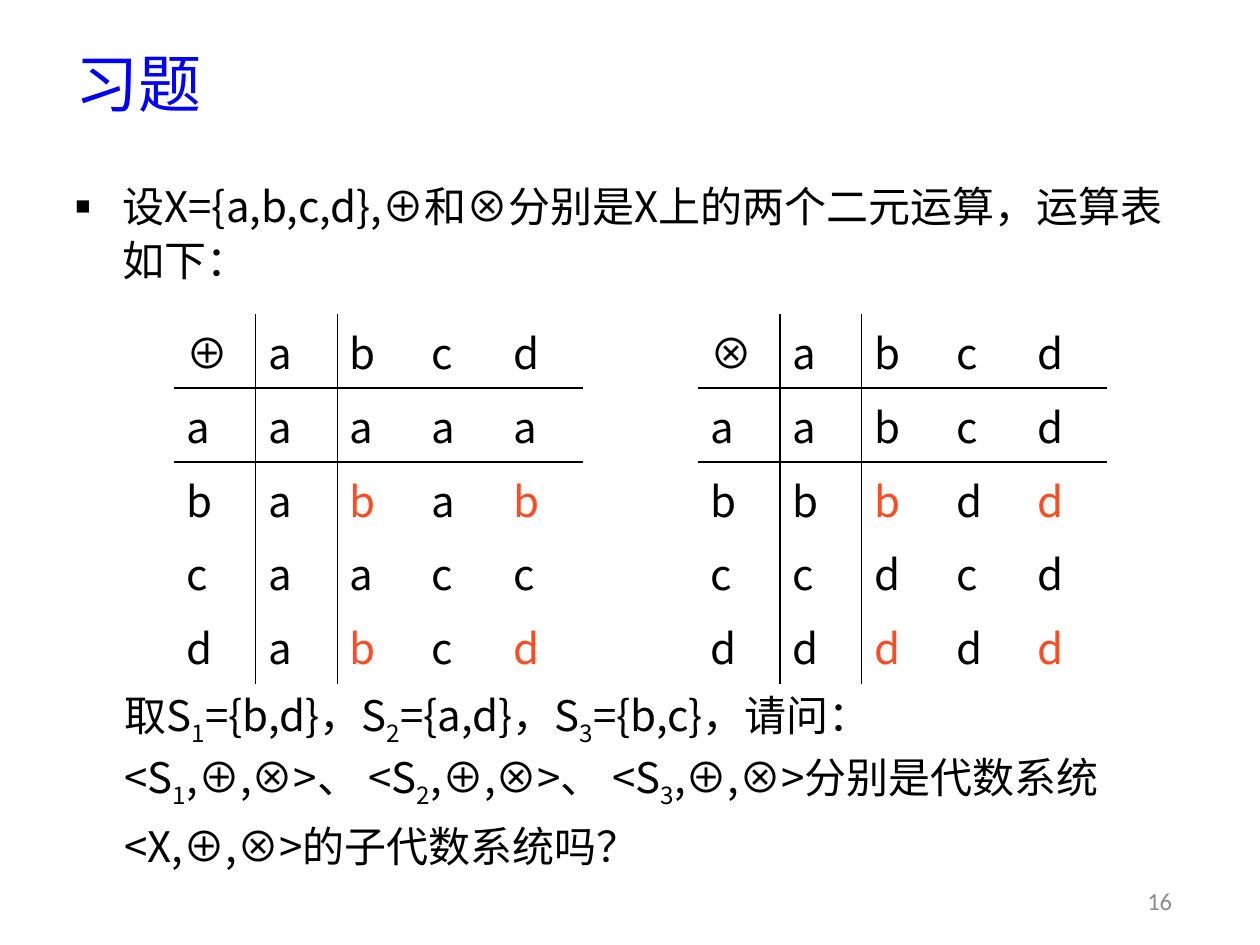
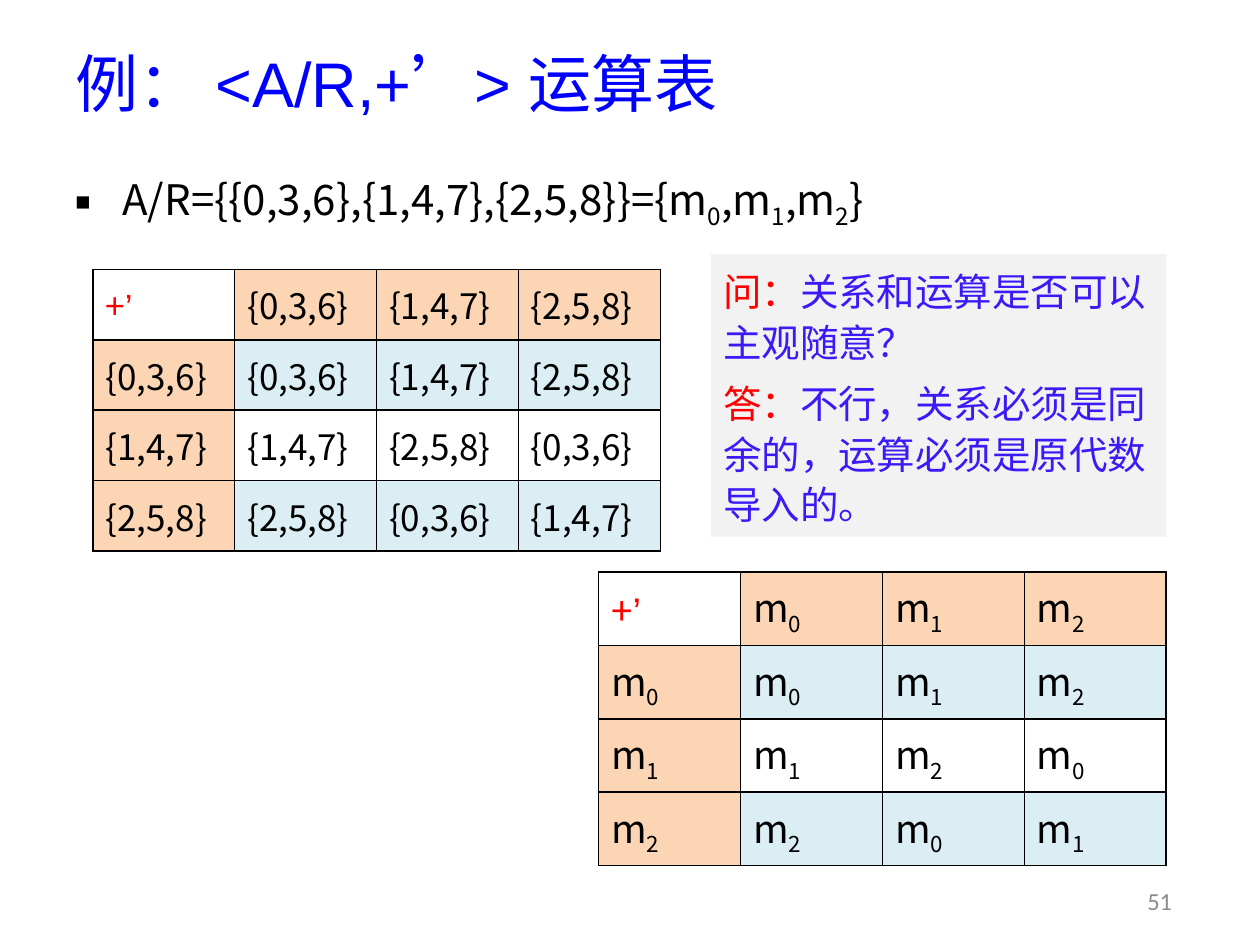
from lxml.etree import SubElement
from pptx import Presentation
from pptx.dml.color import RGBColor
from pptx.enum.shapes import MSO_SHAPE
from pptx.enum.text import MSO_ANCHOR, PP_ALIGN
from pptx.oxml.ns import qn
from pptx.util import Cm, Pt

COLOURS = {
    "title": "0000FF",
    "text": "000000",
    "number": "8C8C8C",
    "closed": "FF4B21",
    "red": "FF0000",
    "answer": "3A1BF7",
    "note": "F2F2F2",
    "header": "FCD5B5",
    "band": "DBEEF4",
    "white": "FFFFFF",
}
CJK = "Noto Sans CJK SC"
NO_STYLE = "{2D5ABB26-0587-4C30-8999-92F81FD0307C}"


def rgb(name):
    return RGBColor.from_string(COLOURS[name])


# ---- Text ----
def add_runs(paragraph, text, colour=None, font=None):
    """Write text; the character after each underscore is a subscript."""
    head, *tails = text.split("_")
    pieces = [(head, False)]
    for tail in tails:
        pieces += [(tail[0], True), (tail[1:], False)]
    for piece, lowered in pieces:
        if not piece:
            continue
        run = paragraph.add_run()
        run.text = piece
        if colour:
            run.font.color.rgb = rgb(colour)
        if font:
            run.font.name = font
        if lowered:
            run._r.get_or_add_rPr().set("baseline", "-25000")


def write(paragraph, parts, size, colour="text", font=CJK, line=None):
    """Parts are strings or (text, colour, font) tuples."""
    if line:
        paragraph.line_spacing = Pt(line)
    paragraph.font.size = Pt(size)
    paragraph.font.name = font
    paragraph.font.color.rgb = rgb(colour)
    east_asian = SubElement(paragraph._p.pPr.find(qn("a:defRPr")), qn("a:ea"))
    east_asian.set("typeface", CJK)
    for part in [parts] if isinstance(parts, str) else parts:
        add_runs(paragraph, *([part] if isinstance(part, str) else part))


def add_text(slide, left, top, width, height, anchor=MSO_ANCHOR.TOP):
    frame = slide.shapes.add_textbox(Cm(left), Cm(top), Cm(width), Cm(height)).text_frame
    frame.word_wrap = True
    frame.vertical_anchor = anchor
    return frame


def add_bullet_text(slide, text):
    paragraph = add_text(slide, 1.27, 3.43, 22.86, 2.4).paragraphs[0]
    properties = paragraph._p.get_or_add_pPr()
    properties.set("marL", str(Cm(0.95)))
    properties.set("indent", str(Cm(-0.95)))
    SubElement(properties, qn("a:buSzPct")).set("val", "60000")
    SubElement(properties, qn("a:buFont")).set("typeface", "Arial")
    SubElement(properties, qn("a:buChar")).set("char", "■")
    write(paragraph, text, 24, line=31)


def add_page(deck, title, number):
    """Blank slide with the shared title and page number."""
    slide = deck.slides.add_slide(deck.slide_layouts[6])
    heading = add_text(slide, 1.27, 0.5, 22.86, 2.3, MSO_ANCHOR.MIDDLE)
    write(heading.paragraphs[0], title, 36, "title")
    footer = add_text(slide, 22.63, 17.65, 1.5, 1.02, MSO_ANCHOR.MIDDLE).paragraphs[0]
    footer.alignment = PP_ALIGN.CENTER
    write(footer, str(number), 14, "number", "Calibri")
    return slide


# ---- Tables ----
def set_borders(cell, sides):
    properties = cell._tc.get_or_add_tcPr()
    for side in "LRTB":
        if side in sides:
            line = SubElement(properties, qn(f"a:ln{side}"), w=str(Pt(1)))
            fill = SubElement(line, qn("a:solidFill"))
            SubElement(fill, qn("a:srgbClr")).set("val", COLOURS["text"])


def add_grid(slide, left, top, column, row, rows, size, style):
    """style(r, c) gives the text colour, fill and border sides of a cell."""
    count = len(rows)
    frame = slide.shapes.add_table(
        count, count, Cm(left), Cm(top), Cm(column * count), Cm(row * count))
    table = frame.table
    table.first_row = table.horz_banding = False
    table._tbl.tblPr.find(qn("a:tableStyleId")).text = NO_STYLE
    for index in range(count):
        table.columns[index].width = Cm(column)
        table.rows[index].height = Cm(row)
    for r, texts in enumerate(rows):
        for c, text in enumerate(texts):
            cell = table.cell(r, c)
            colour, fill, sides = style(r, c)
            cell.vertical_anchor = MSO_ANCHOR.MIDDLE
            set_borders(cell, sides)
            if fill:
                cell.fill.solid()
                cell.fill.fore_color.rgb = rgb(fill)
            else:
                cell.fill.background()
            write(cell.text_frame.paragraphs[0], text, size, colour)


def operation_style(r, c):
    """Rule beside and below the headings; entries of {b,d} stand out."""
    sides = {0: "R", 1: "L"}.get(c, "") + {0: "B", 1: "T"}.get(r, "")
    colour = "closed" if r in (2, 4) and c in (2, 4) else "text"
    return colour, None, sides


def quotient_style(r, c):
    if r == c == 0:
        return "red", "white", "LRTB"
    if r == 0 or c == 0:
        return "text", "header", "LRTB"
    return "text", "band" if r % 2 else "white", "LRTB"


def operation_rows(symbol, results):
    return [[symbol, *"abcd"]] + [[name, *line] for name, line in zip("abcd", results)]


def quotient_rows(classes):
    """Addition of the residue classes modulo their number."""
    count = len(classes)
    corner = ["+", ("’", None, "Arial")]
    return [[corner, *classes]] + [
        [classes[r], *(classes[(r + c) % count] for c in range(count))]
        for r in range(count)]


# ---- Slides ----
def exercise_slide(deck):
    slide = add_page(deck, "习题", 16)
    add_bullet_text(slide, "设X={a,b,c,d},⊕和⊗分别是X上的两个二元运算，运算表如下：")
    operations = [
        (3.5, "⊕", ["aaaa", "abab", "aacc", "abcd"]),
        (14.07, "⊗", ["abcd", "bbdd", "cdcd", "dddd"]),
    ]
    for left, symbol, results in operations:
        add_grid(slide, left, 6.33, 1.65, 1.49,
                 operation_rows(symbol, results), 24, operation_style)

    question = add_text(slide, 2.26, 13.68, 21.87, 3.95)
    write(question.paragraphs[0], "取S_1={b,d}，S_2={a,d}，S_3={b,c}，请问：", 24, line=35.5)
    write(question.add_paragraph(),
          "<S_1,⊕,⊗>、 <S_2,⊕,⊗>、 <S_3,⊕,⊗>分别是代数系统<X,⊕,⊗>的子代数系统吗？",
          24, line=35.5)


def quotient_slide(deck):
    slide = add_page(deck, ["例： ", ("<A/R,+’> ", None, "Arial"), "运算表"], 51)
    add_bullet_text(slide, "A/R={{0,3,6},{1,4,7},{2,5,8}}={m_0,m_1,m_2}")
    add_grid(slide, 1.87, 5.43, 2.86, 1.42,
             quotient_rows(["{0,3,6}", "{1,4,7}", "{2,5,8}"]), 20, quotient_style)
    add_grid(slide, 12.07, 11.53, 2.86, 1.48,
             quotient_rows(["m_0", "m_1", "m_2"]), 22, quotient_style)

    # Question and answer note
    note = slide.shapes.add_shape(
        MSO_SHAPE.RECTANGLE, Cm(14.33), Cm(5.12), Cm(9.19), Cm(5.7))
    note.shadow.inherit = False
    note.fill.solid()
    note.fill.fore_color.rgb = rgb("note")
    note.line.fill.background()
    frame = note.text_frame
    frame.word_wrap = True
    frame.vertical_anchor = MSO_ANCHOR.MIDDLE
    asked, answered = frame.paragraphs[0], frame.add_paragraph()
    answered.space_before = Pt(6)
    exchange = [
        (asked, "问：", "关系和运算是否可以主观随意？"),
        (answered, "答：", "不行，关系必须是同余的，运算必须是原代数导入的。"),
    ]
    for paragraph, label, words in exchange:
        paragraph.alignment = PP_ALIGN.LEFT
        write(paragraph, [(label, "red"), words], 22, "answer", line=29)


def main():
    deck = Presentation()
    deck.slide_width, deck.slide_height = Cm(25.4), Cm(19.05)
    exercise_slide(deck)
    quotient_slide(deck)
    deck.save("out.pptx")


if __name__ == "__main__":
    main()
